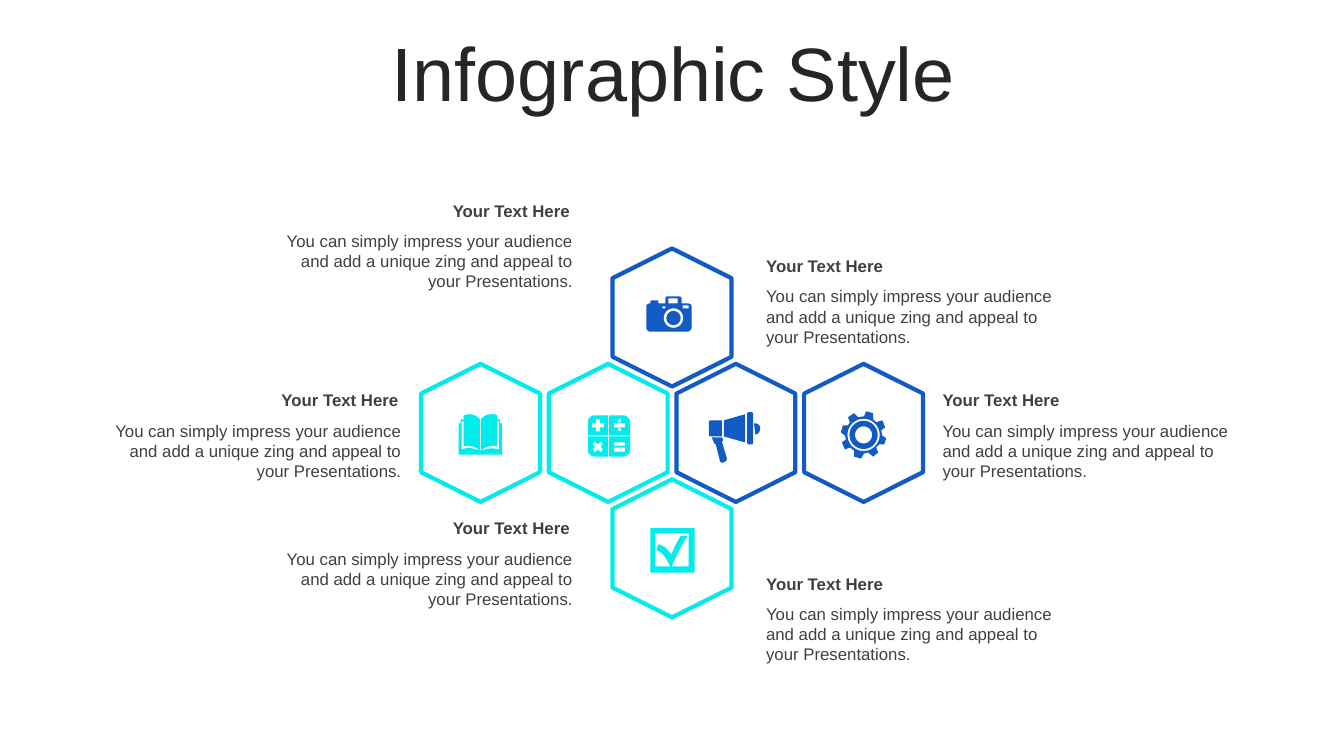
import math
from dataclasses import dataclass

import pptx
import pptx.dml.color
import pptx.enum.shapes
import pptx.enum.text
import pptx.util

Inches = pptx.util.Inches
Align = pptx.enum.text.PP_ALIGN
Point = tuple[float, float]
Contour = list[Point]

BLUE, CYAN, WHITE = "125AC4", "02ECEC", "FFFFFF"
DARK, GREY = "262626", "404040"
HEADING = "Your Text Here"
BODY = "You can simply impress your audience and add a unique zing and appeal to your Presentations."


@dataclass
class Note:
    left: float
    top: float
    align: Align


@dataclass
class Hexagon:
    column: int  # in half steps of the honeycomb
    row: int
    color: str


@dataclass
class Icon:
    color: str
    contours: list[Contour]


# Contours are in hundredths of an inch on the page
def rect(left: float, top: float, right: float, bottom: float) -> Contour:
    return [(left, top), (right, top), (right, bottom), (left, bottom)]


def circle(x: float, y: float, radius: float, steps: int = 48) -> Contour:
    angles = [2 * math.pi * step / steps for step in range(steps)]
    return [(x + radius * math.cos(a), y + radius * math.sin(a)) for a in angles]


def outline(route: str, steps: int = 8) -> Contour:
    """Points are "x,y"; a Bezier curve is "x,y~x,y~x,y" from the last point."""
    points: Contour = []
    for token in route.split():
        knots = [tuple(float(n) for n in knot.split(",")) for knot in token.split("~")]
        if len(knots) == 1:
            points.append(knots[0])
            continue
        curve = [points[-1], *knots]
        for step in range(1, steps + 1):
            t = step / steps
            weights = [math.comb(3, i) * t**i * (1 - t) ** (3 - i) for i in range(4)]
            points.append(tuple(sum(w * k[axis] for w, k in zip(weights, curve)) for axis in (0, 1)))
    return points


NOTES = [
    Note(2.68, 1.94, Align.RIGHT),
    Note(0.98, 3.82, Align.RIGHT),
    Note(7.5, 5.64, Align.LEFT),
    Note(7.5, 2.49, Align.LEFT),
    Note(9.25, 3.82, Align.LEFT),
    Note(2.68, 5.09, Align.RIGHT),
]
HEXAGONS = [
    Hexagon(6, 1, BLUE), Hexagon(0, 1, CYAN), Hexagon(2, 1, CYAN),
    Hexagon(3, 0, BLUE), Hexagon(4, 1, BLUE), Hexagon(3, 2, CYAN),
]
CALCULATOR = Icon(CYAN, [
    rect(609, 444, 620, 448), rect(609, 439, 620, 442), rect(609, 420, 620, 424),
    circle(614.5, 426, 1.7), circle(614.5, 417.5, 1.7),
    outline("590,438 588,440 590,443 588,446 590,449 593,446 596,449 598,446 596,443 598,440 596,438 593,441"),
    outline("591,416 591,420 587,420 587,424 591,424 591,428 595,428 595,424 599,424 599,420 595,420 595,416"),
    outline("604,433 625,433 625,446 625,450~621,453~618,453 604,453"),
    outline("583,433 603,433 603,453 590,453 586,453~583,450~583,446"),
    outline("590,412 603,412 603,432 583,432 583,419 583,415~586,412~590,412"),
    outline("604,412 618,412 621,412~625,415~625,419 625,432 604,432"),
])
BOOK = Icon(CYAN, [outline(
    "476,447 477,447 484,445~487,444~495,446 495,418 493,418 493,443 488,441~482,443~477,447 "
    "477,416 480,413~483,411~487,411 489,411~491,411~493,412 493,416 496,416 496,420 498,420 "
    "498,451 455,451 455,420 457,420 457,416 460,416 460,412 463,411~465,411~466,411 "
    "470,411~473,413~476,416 476,447 471,443~465,441~460,443 460,418 458,418 458,446 "
    "465,443~470,445~476,447")])
CHECKBOX = Icon(CYAN, [
    outline("650,529 650,562 665,562 662,557~658,547~651,546 653,540 660,542~662,545~666,550 "
            "669,542~671,539~675,532 682,532 676,540~671,552~666,562 683,562 683,529"),
    rect(645, 524, 689, 568),
])
MEGAPHONE = Icon(BLUE, [
    outline("716,434 717,436 717,437~717,438~716,438 721,455 721,456~720,458~719,458 717,459 "
            "716,459~714,459~714,457 710,441 709,440~708,440~708,439 706,434"),
    outline("748,420 752,420~754,422~754,425 754,428~752,431~749,431 749,427~748,423~748,420"),
    outline("705,417 716,417 716,433 705,433 704,433~703,432~703,431 703,419 703,418~704,417~705,417"),
    outline("739,411 739,439 718,433 718,417"),
    outline("742,409 746,409 746,409~747,410~747,410 747,439 747,440~746,441~746,441 742,441 "
            "742,441~741,440~741,439 741,410 741,410~742,409~742,409"),
])
CAMERA = Icon(BLUE, [
    circle(668, 315.5, 7), circle(668, 315.5, 9.7),
    rect(657, 304, 660, 306), rect(677, 303, 683, 306), rect(663, 296, 672, 301),
    outline("661,294 674,294 675,294~676,295~676,296 676,301 682,301 684,301~686,302~686,304 "
            "686,325 686,327~684,329~682,329 645,329 643,329~641,327~641,325 641,304 "
            "641,302~643,301~645,301 645,299 645,299~646,298~646,298 652,298 "
            "653,298~653,299~653,299 653,301 660,301 660,296 660,295~661,294~661,294"),
])
GEAR = Icon(BLUE, [
    circle(856.5, 431.5, 8.5), circle(856.5, 431.5, 14), circle(856.5, 431.5, 16),
    outline("859,408 866,410 866,416 869,419 875,417 878,424 874,427 875,432 879,435 877,441 872,441 "
            "869,444 871,449 866,453 861,449 857,450 854,455 847,453 847,447 843,444 838,446 835,439 "
            "839,436 838,432 834,429 836,422 841,422 843,419 841,414 847,410 851,414 857,413"),
])
ICONS = [CALCULATOR, BOOK, CHECKBOX, MEGAPHONE, CAMERA, GEAR]


def rgb(color: str) -> pptx.dml.color.RGBColor:
    return pptx.dml.color.RGBColor.from_string(color)


def add_text(page, text: str, left: float, top: float, width: float, height: float, *,
             size: float = 12, color: str = GREY, bold: bool = False, align: Align = Align.LEFT,
             anchor=pptx.enum.text.MSO_ANCHOR.TOP, line_spacing: float = 1.0, before: float = 0) -> None:
    box = page.shapes.add_textbox(Inches(left), Inches(top), Inches(width), Inches(height))
    frame = box.text_frame
    frame.word_wrap = True
    frame.vertical_anchor = anchor
    para = frame.paragraphs[0]
    para.alignment = align
    para.line_spacing = line_spacing
    para.space_before = pptx.util.Pt(before)
    span = para.add_run()
    span.text = text
    span.font.name = "Arial"
    span.font.size = pptx.util.Pt(size)
    span.font.bold = bold
    span.font.color.rgb = rgb(color)


def add_note(page, note: Note) -> None:
    heading_width = 3.07 if note.align == Align.RIGHT else 3.1
    add_text(page, BODY, note.left, note.top + 0.3, 3.1, 0.71, align=note.align)
    add_text(page, HEADING, note.left, note.top, heading_width, 0.3, bold=True, align=note.align)


def add_hexagon(page, cell: Hexagon) -> None:
    left, top = 4.08 + cell.column * 3.8 / 6, 2.56 + cell.row * 1.145
    shape = page.shapes.add_shape(pptx.enum.shapes.MSO_SHAPE.HEXAGON,
                                  Inches(left), Inches(top), Inches(1.37), Inches(1.18))
    shape.rotation = 90
    shape.shadow.inherit = False
    shape.fill.solid()
    shape.fill.fore_color.rgb = rgb(WHITE)
    shape.line.color.rgb = rgb(cell.color)
    shape.line.width = pptx.util.Pt(3)


def add_icon(page, icon: Icon) -> None:
    contours = [[(Inches(x / 100), Inches(y / 100)) for x, y in contour] for contour in icon.contours]
    builder = page.shapes.build_freeform(*contours[0][0])
    for index, contour in enumerate(contours):
        if index:
            builder.move_to(*contour[0])
        builder.add_line_segments(contour[1:], close=True)
    shape = builder.convert_to_shape()
    shape.shadow.inherit = False
    shape.fill.solid()
    shape.fill.fore_color.rgb = rgb(icon.color)
    shape.line.fill.background()


def main() -> None:
    deck = pptx.Presentation()
    deck.slide_width, deck.slide_height = Inches(13.33), Inches(7.5)
    page = deck.slides.add_slide(deck.slide_layouts[6])

    # Title
    add_text(page, "Infographic Style", 0.35, 0.37, 12.66, 0.79, size=54, color=DARK, align=Align.CENTER,
             anchor=pptx.enum.text.MSO_ANCHOR.MIDDLE, line_spacing=0.9, before=10)

    # Notes around the honeycomb
    for note in NOTES:
        add_note(page, note)

    # Honeycomb and its icons
    for cell in HEXAGONS:
        add_hexagon(page, cell)
    for icon in ICONS:
        add_icon(page, icon)

    deck.save("out.pptx")


if __name__ == "__main__":
    main()
